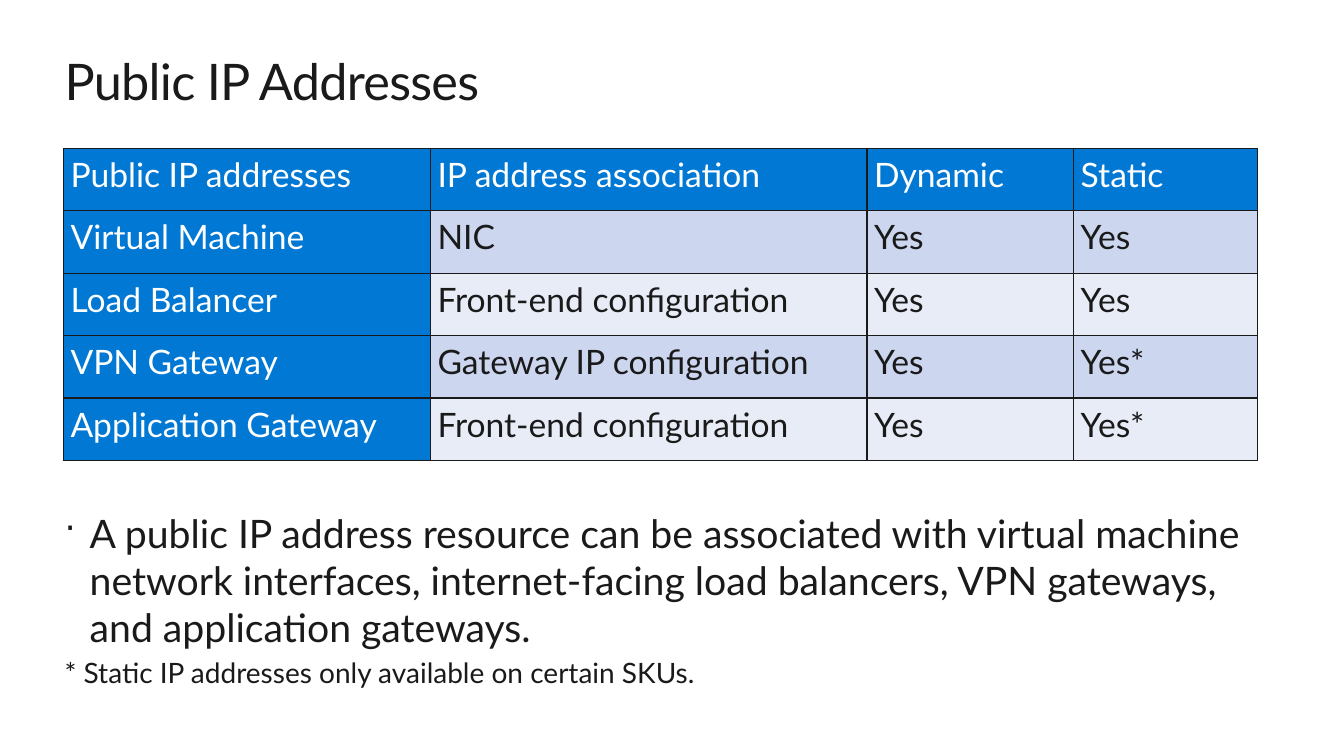
from pptx import Presentation
from pptx import util as u
from pptx.dml.color import RGBColor
from pptx.enum import text
from pptx.oxml.ns import qn
from lxml import etree

FONT = "Lato"
INK = RGBColor(0x1A, 0x1A, 0x1A)
WHITE = RGBColor(0xFF, 0xFF, 0xFF)
BLUE = RGBColor(0x00, 0x78, 0xD4)
BANDS = (RGBColor(0xCC, 0xD6, 0xEF), RGBColor(0xE7, 0xEC, 0xF7))

COLUMN_WIDTHS = (3.64, 4.33, 2.05, 1.82)
ROW_HEIGHT = 0.62
ROWS = (
    ("Public IP addresses", "IP address association", "Dynamic", "Static"),
    ("Virtual Machine", "NIC", "Yes", "Yes"),
    ("Load Balancer", "Front-end configuration", "Yes", "Yes"),
    ("VPN Gateway", "Gateway IP configuration", "Yes", "Yes*"),
    ("Application Gateway", "Front-end configuration", "Yes", "Yes*"),
)
SUMMARY = (
    "A public IP address resource can be associated with virtual machine "
    "network interfaces, internet-facing load balancers, VPN gateways, "
    "and application gateways."
)
FOOTNOTE = "* Static IP addresses only available on certain SKUs."


def add_run(paragraph, wording, size, color=INK):
    run = paragraph.add_run()
    run.text = wording
    run.font.name = FONT
    run.font.size = u.Pt(size)
    run.font.bold = False
    run.font.color.rgb = color
    return run


def prepare_frame(frame):
    frame.word_wrap = True
    frame.auto_size = text.MSO_AUTO_SIZE.NONE
    frame.vertical_anchor = text.MSO_ANCHOR.TOP
    frame.margin_left = frame.margin_right = 0
    frame.margin_top = frame.margin_bottom = 0


def set_title(slide, wording):
    title = slide.shapes.title
    title.left, title.top = u.Inches(0.64), u.Inches(0.5)
    title.width, title.height = u.Inches(12.05), u.Inches(0.61)
    prepare_frame(title.text_frame)
    paragraph = title.text_frame.paragraphs[0]
    paragraph.alignment = text.PP_ALIGN.LEFT
    run = add_run(paragraph, wording, 36)
    run.font._element.set("spc", "-50")


def set_borders(cell):
    properties = cell._tc.get_or_add_tcPr()
    for index, side in enumerate(("lnL", "lnR", "lnT", "lnB")):
        line = etree.Element(qn(f"a:{side}"), w=str(u.Pt(1)))
        fill = etree.SubElement(line, qn("a:solidFill"))
        etree.SubElement(fill, qn("a:srgbClr"), val=str(INK))
        properties.insert(index, line)


def fill_cell(cell, wording, fill, color):
    cell.margin_left = cell.margin_right = u.Inches(0.07)
    cell.margin_top = cell.margin_bottom = 0
    cell.fill.solid()
    cell.fill.fore_color.rgb = fill
    set_borders(cell)
    paragraph = cell.text_frame.paragraphs[0]
    paragraph.line_spacing = 1.15
    add_run(paragraph, wording, 24, color)


def add_address_table(slide):
    table = slide.shapes.add_table(
        len(ROWS), len(COLUMN_WIDTHS), u.Inches(0.63), u.Inches(1.47),
        u.Inches(sum(COLUMN_WIDTHS)), u.Inches(ROW_HEIGHT * len(ROWS)),
    ).table
    for column, width in zip(table.columns, COLUMN_WIDTHS):
        column.width = u.Inches(width)
    for r, wordings in enumerate(ROWS):
        table.rows[r].height = u.Inches(ROW_HEIGHT)
        for c, wording in enumerate(wordings):
            # Header row and first column are blue, the rest is banded
            heading = r == 0 or c == 0
            fill = BLUE if heading else BANDS[(r - 1) % 2]
            fill_cell(table.cell(r, c), wording, fill, WHITE if heading else INK)


def add_bullet(paragraph):
    properties = paragraph._p.get_or_add_pPr()
    properties.set("marL", str(u.Inches(0.25)))
    properties.set("indent", str(u.Inches(-0.25)))
    etree.SubElement(properties, qn("a:buSzPct"), val="90000")
    etree.SubElement(properties, qn("a:buChar"), char="·")


def add_notes_text(slide):
    box = slide.shapes.add_textbox(
        u.Inches(0.64), u.Inches(5.05), u.Inches(12.06), u.Inches(2.38))
    frame = box.text_frame
    prepare_frame(frame)
    summary = frame.paragraphs[0]
    add_bullet(summary)
    add_run(summary, SUMMARY, 28)
    footnote = frame.add_paragraph()
    footnote.space_before = u.Pt(4)
    add_run(footnote, FOOTNOTE, 20)


def main():
    presentation = Presentation()
    presentation.slide_width = u.Inches(13.33)
    presentation.slide_height = u.Inches(7.5)
    slide = presentation.slides.add_slide(presentation.slide_layouts[5])

    # Title, table, then the explanation below
    set_title(slide, "Public IP Addresses")
    add_address_table(slide)
    add_notes_text(slide)

    presentation.save("out.pptx")


if __name__ == "__main__":
    main()
